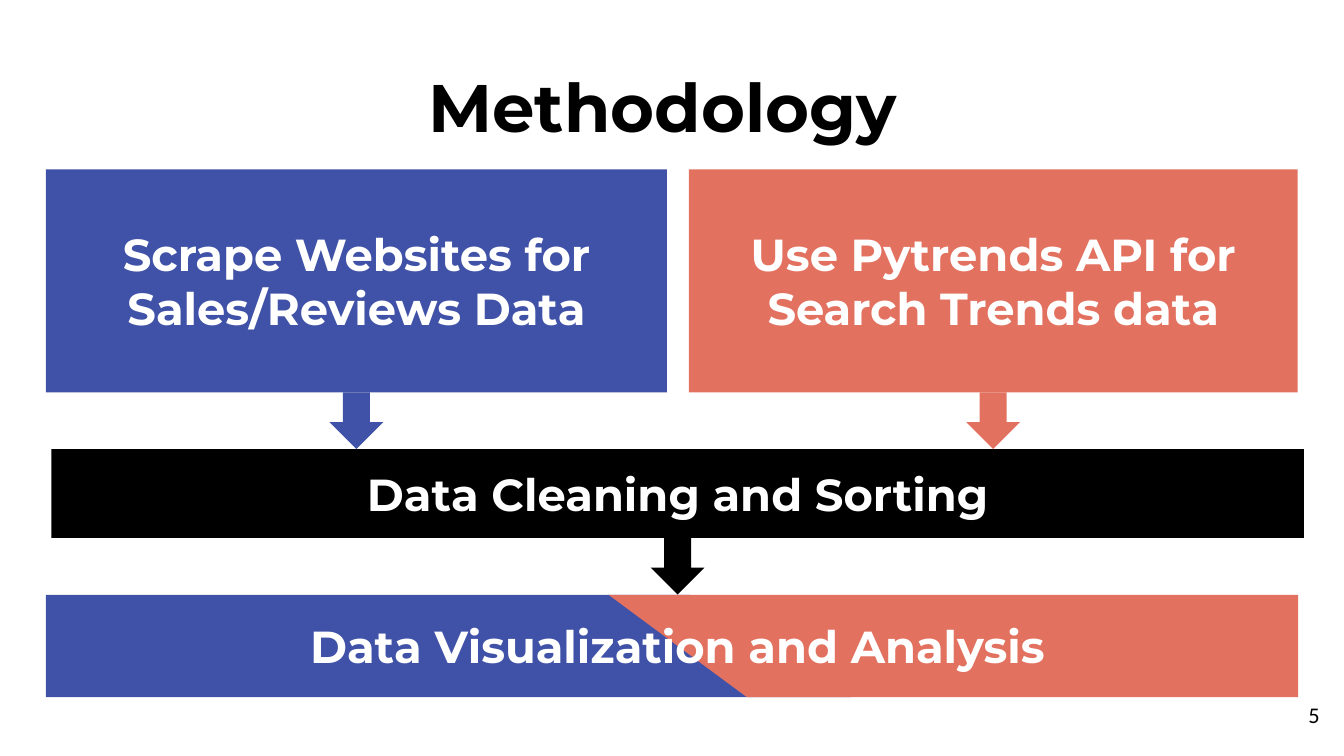
import pptx
import pptx.util
import pptx.dml.color
import pptx.enum.shapes
import pptx.enum.text

RGB = pptx.dml.color.RGBColor
KIND = pptx.enum.shapes.MSO_SHAPE
ALIGN = pptx.enum.text.PP_ALIGN
ANCHOR = pptx.enum.text.MSO_ANCHOR

BLUE = RGB(0x40, 0x52, 0xA7)
CORAL = RGB(0xE3, 0x71, 0x5F)
BLACK = RGB(0, 0, 0)
WHITE = RGB(0xFF, 0xFF, 0xFF)

# A 16:9 slide
deck = pptx.Presentation()
deck.slide_width = pptx.util.Inches(10)
deck.slide_height = deck.slide_width * 9 // 16
slide = deck.slides.add_slide(deck.slide_layouts[6])

# One column and one row are each a hundredth of the slide
COL = deck.slide_width / 100
ROW = deck.slide_height / 100


def draw(home, kind, box, fill, turn=0):
    """Add a filled shape; box is its place as seen after turning."""
    x, y, w, h = box[0] * COL, box[1] * ROW, box[2] * COL, box[3] * ROW
    if turn:
        x, y, w, h = x + (w - h) / 2, y + (h - w) / 2, h, w
    shape = home.add_shape(kind, int(x), int(y), int(w), int(h))
    shape.rotation = turn
    shape.shadow.inherit = False
    shape.fill.solid()
    shape.fill.fore_color.rgb = fill
    shape.line.fill.background()
    return shape


def write(shape, text, size=24, color=WHITE, font="Montserrat",
          bold=True, align=ALIGN.CENTER, anchor=ANCHOR.MIDDLE, pad=0.1):
    frame = shape.text_frame
    frame.word_wrap = True
    frame.vertical_anchor = anchor
    frame.margin_left = frame.margin_right = pptx.util.Inches(pad)
    frame.margin_top = frame.margin_bottom = pptx.util.Inches(pad / 2)
    para = frame.paragraphs[0]
    para.alignment = align
    run = para.add_run()
    run.text = text
    run.font.name = font
    run.font.size = pptx.util.Pt(size)
    run.font.bold = bold
    run.font.color.rgb = color


# Title
title = slide.shapes.add_textbox(
    int(3.4 * COL), int(8.4 * ROW), int(93.2 * COL), int(11.2 * ROW))
write(title, "Methodology ", 36, BLACK, pad=0.05)

# Sources and cleaning step
steps = [
    ((3.42, 22.4, 46.2, 29.5), BLUE, "Scrape Websites for Sales/Reviews Data"),
    ((51.25, 22.4, 45.3, 29.5), CORAL, "Use Pytrends API for Search Trends data"),
    ((3.82, 59.4, 93.2, 11.75), BLACK, "Data Cleaning and Sorting"),
]
for box, fill, text in steps:
    write(draw(slide.shapes, KIND.RECTANGLE, box, fill), text)

# Two-coloured result band
band = slide.shapes.add_group_shape().shapes
for left, wide, fill, turn in [(3.42, 59.9, BLUE, 90), (45.3, 51.3, CORAL, 270)]:
    draw(band, KIND.FLOWCHART_MANUAL_INPUT, (left, 78.7, wide, 13.5), fill, turn)
label = band.add_textbox(
    int(14.75 * COL), int(81 * ROW), int(71.3 * COL), int(8.9 * ROW))
write(label, "Data Visualization and Analysis", anchor=ANCHOR.TOP)

# Arrows centred under each step
for (left, top, wide, high), fill, text in steps:
    draw(slide.shapes, KIND.DOWN_ARROW,
         (left + wide / 2 - 2, top + high, 4, 7.5), fill)

# Page number
page = slide.shapes.add_textbox(
    int(92.7 * COL), int(90.7 * ROW), int(6 * COL), int(7.7 * ROW))
write(page, "5", 12, BLACK, "Calibri", False, ALIGN.RIGHT, pad=0.05)

deck.save("out.pptx")
